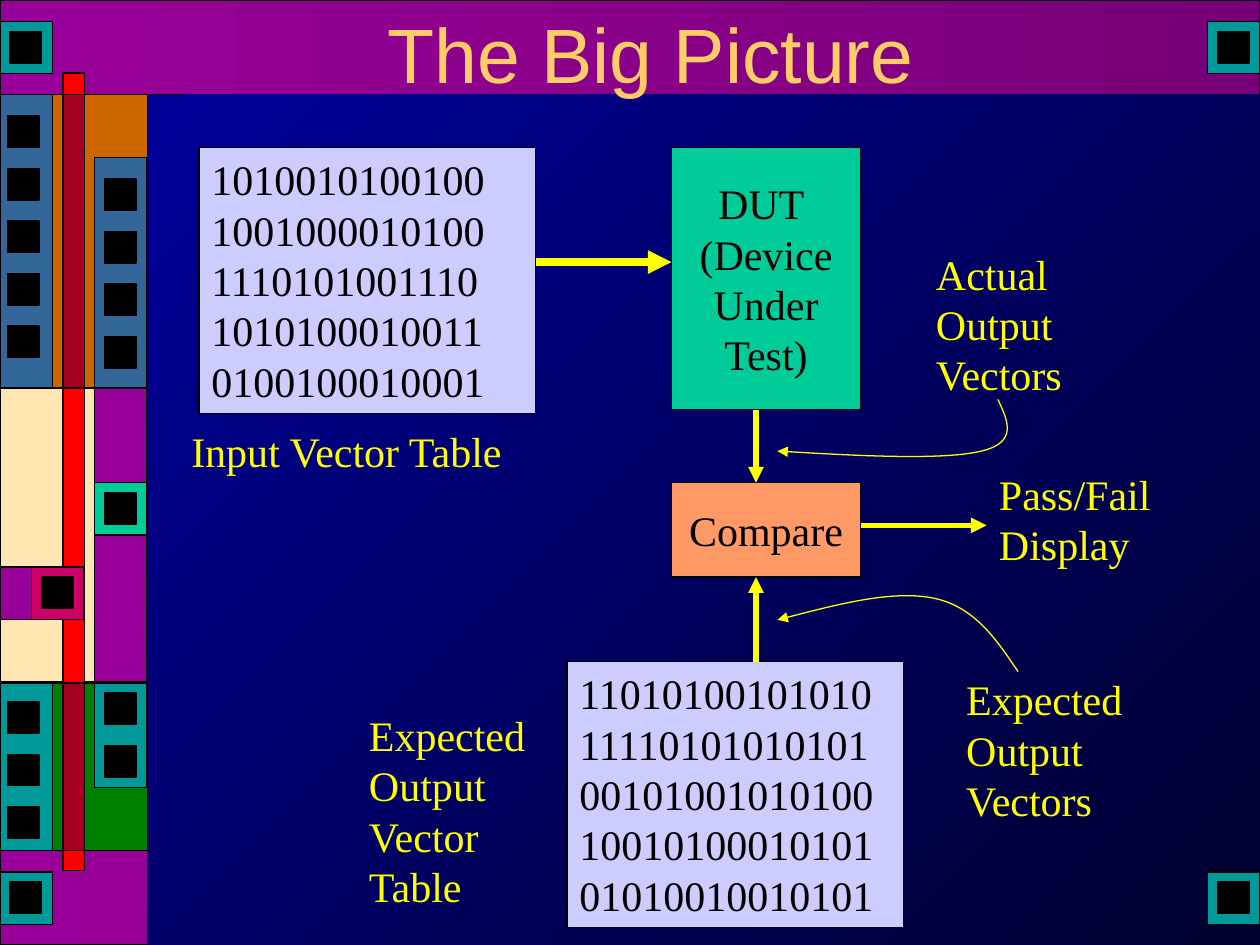
from lxml import etree
from pptx import Presentation
from pptx.dml.color import RGBColor
from pptx.enum.shapes import MSO_CONNECTOR, MSO_SHAPE
from pptx.enum.text import MSO_ANCHOR, MSO_AUTO_SIZE, PP_ALIGN
from pptx.oxml.ns import qn
from pptx.util import Inches, Pt

BLACK = RGBColor(0x00, 0x00, 0x00)
PURPLE = RGBColor(0x99, 0x00, 0x99)
DARK_PURPLE = RGBColor(0x78, 0x00, 0x78)
BLUE = RGBColor(0x00, 0x00, 0x99)
NIGHT = RGBColor(0x00, 0x00, 0x2E)
GOLD = RGBColor(0xFF, 0xCC, 0x66)
BROWN = RGBColor(0xCC, 0x66, 0x00)
GREEN = RGBColor(0x00, 0x80, 0x00)
TEAL = RGBColor(0x00, 0x99, 0x99)
STEEL = RGBColor(0x33, 0x66, 0x99)
RED = RGBColor(0xFF, 0x00, 0x00)
DARK_RED = RGBColor(0xA5, 0x00, 0x21)
MINT = RGBColor(0x00, 0xCC, 0x99)
PINK = RGBColor(0xCC, 0x00, 0x66)
LAVENDER = RGBColor(0xCC, 0xCC, 0xFF)
ORANGE = RGBColor(0xFF, 0x99, 0x66)
YELLOW = RGBColor(0xFF, 0xFF, 0x00)

STUD = 0.25
STUD_PITCH = 5 / 12
PANEL_WIDTH = 5 / 12

BODY_FONT = {"name": "Times New Roman", "size": Pt(24)}
TITLE_FONT = {"name": "Arial", "size": Pt(44)}
TABLE_FRAME = {"word_wrap": True, "auto_size": MSO_AUTO_SIZE.SHAPE_TO_FIT_TEXT,
               "vertical_anchor": MSO_ANCHOR.TOP}
BLOCK_FRAME = {"word_wrap": False, "vertical_anchor": MSO_ANCHOR.MIDDLE}
LABEL_FRAME = {"word_wrap": False, "auto_size": MSO_AUTO_SIZE.SHAPE_TO_FIT_TEXT}
TITLE_FRAME = {"word_wrap": True, "vertical_anchor": MSO_ANCHOR.MIDDLE}

INPUT_VECTORS = ["1010010100100", "1001000010100", "1110101001110",
                 "1010100010011", "0100100010001"]
EXPECTED_VECTORS = ["11010100101010", "11110101010101", "00101001010100",
                    "10010100010101", "01010010010101"]


def apply_format(target, values):
    for name, value in values.items():
        setattr(target, name, value)


def add_rectangle(slide, box, colour, end_colour=None, angle=0, outlined=True):
    shape = slide.shapes.add_shape(MSO_SHAPE.RECTANGLE, *map(Inches, box))
    shape.shadow.inherit = False
    if end_colour is None:
        shape.fill.solid()
        shape.fill.fore_color.rgb = colour
    else:
        shape.fill.gradient()
        shape.fill.gradient_angle = (360 - angle) % 360
        for stop, stop_colour in zip(shape.fill.gradient_stops, (colour, end_colour)):
            stop.color.rgb = stop_colour
    if outlined:
        apply_format(shape.line, {"width": Pt(0.75)})
        shape.line.color.rgb = BLACK
    else:
        shape.line.fill.background()
    return shape


def set_transparent(shape, percent):
    colour = next(shape._element.iter(qn("a:srgbClr")))
    etree.SubElement(colour, qn("a:alpha"), val=str((100 - percent) * 1000))


def write_text(shape, paragraphs, frame, font, colour, alignment=PP_ALIGN.LEFT):
    text_frame = shape.text_frame
    apply_format(text_frame, frame)
    for index, text in enumerate(paragraphs):
        paragraph = text_frame.add_paragraph() if index else text_frame.paragraphs[0]
        paragraph.text = text
        paragraph.alignment = alignment
        for run in paragraph.runs:
            apply_format(run.font, font)
            run.font.color.rgb = colour


def add_label(slide, box, paragraphs, frame=LABEL_FRAME, font=BODY_FONT,
              colour=YELLOW, alignment=PP_ALIGN.LEFT):
    text_box = slide.shapes.add_textbox(*map(Inches, box))
    write_text(text_box, paragraphs, frame, font, colour, alignment)


def add_block(slide, box, colour, text, frame=BLOCK_FRAME, alignment=PP_ALIGN.CENTER):
    shape = add_rectangle(slide, box, colour)
    write_text(shape, [text], frame, BODY_FONT, BLACK, alignment)


def add_stud_panel(slide, left, top, colour, height=PANEL_WIDTH, studs=1,
                   inset_x=0.08, inset_y=0.08):
    add_rectangle(slide, (left, top, PANEL_WIDTH, height), colour)
    for index in range(studs):
        stud_top = top + inset_y + index * STUD_PITCH
        add_rectangle(slide, (left + inset_x, stud_top, STUD, STUD), BLACK)


def set_yellow_arrow(shape, width):
    shape.line.color.rgb = YELLOW
    shape.line.width = Pt(width)
    outline = shape.line._get_or_add_ln()
    etree.SubElement(outline, qn("a:tailEnd"), type="triangle")


def add_arrow(slide, start, end, width=3):
    connector = slide.shapes.add_connector(
        MSO_CONNECTOR.STRAIGHT, *map(Inches, (*start, *end)))
    set_yellow_arrow(connector, width)
    etree.SubElement(connector._element.spPr, qn("a:effectLst"))


def add_curved_arrow(slide, points):
    start, *controls = [tuple(map(Inches, point)) for point in points]
    builder = slide.shapes.build_freeform(*start)
    builder.add_line_segments(controls, close=False)
    shape = builder.convert_to_shape()
    shape.fill.background()
    set_yellow_arrow(shape, 0.75)
    shape.shadow.inherit = False
    segments = list(shape._element.iter(qn("a:lnTo")))
    for index in range(0, len(segments), 3):
        curve = etree.Element(qn("a:cubicBezTo"))
        segments[index].addprevious(curve)
        for segment in segments[index:index + 3]:
            curve.append(segment[0])
            segment.getparent().remove(segment)


def build_background(slide, width, height):
    for top in (height - 0.75, 0):
        add_rectangle(slide, (0, top, width, 0.75), PURPLE, DARK_PURPLE)
    add_rectangle(slide, (1.17, 0.75, width - 1.17, height - 0.75), BLUE, NIGHT,
                  angle=45, outlined=False)


def build_side_bar(slide, left, top):
    cream = add_rectangle(slide, (left, top + 2.33, 0.92, 2.33), GOLD)
    set_transparent(cream, 50)
    sections = ((top, 2.33, BROWN), (top + 4.67, 1.33, GREEN))
    for section_top, height, colour in sections:
        add_rectangle(slide, (left, section_top, 1.17, height), colour)
    add_stud_panel(slide, left, top + 4.67, TEAL, 1.33, 3, 0.06, 0.15)
    add_stud_panel(slide, left, top, STEEL, 2.33, 5, 0.06, 0.17)
    add_rectangle(slide, (left + 0.5, top - 0.17, 0.17, 6.33), RED)
    for section_top, height, _ in sections:
        add_rectangle(slide, (left + 0.5, section_top, 0.17, height), DARK_RED)
    right = left + 0.75
    add_stud_panel(slide, right, top + 0.5, STEEL, 1.83, 4, inset_y=0.17)
    add_stud_panel(slide, right, top + 4.67, TEAL, 0.83, 2)
    add_rectangle(slide, (right, top + 2.33, PANEL_WIDTH, 2.33), PURPLE)
    add_stud_panel(slide, right, top + 3.08, MINT)
    add_rectangle(slide, (left, top + 3.75, 0.33, PANEL_WIDTH), PURPLE)
    add_stud_panel(slide, left + 0.25, top + 3.75, PINK)


def build_corners(slide, width, height):
    for left in (0, width - PANEL_WIDTH):
        for top in (0.17, height - 0.58):
            add_stud_panel(slide, left, top, TEAL)


def build_diagram(slide, left, top):
    def place(x, y, *size):
        return (left + x, top + y, *size)

    add_block(slide, place(0.16, 0, 2.67, 2.11), LAVENDER,
              "\v".join(INPUT_VECTORS), TABLE_FRAME, PP_ALIGN.LEFT)
    add_block(slide, place(3.91, 0, 1.5, 2.08), MINT, "DUT \v(Device\vUnder\vTest)")
    add_block(slide, place(3.91, 2.66, 1.5, 0.75), ORANGE, "Compare")
    add_block(slide, place(3.08, 4.08, 2.67, 2.11), LAVENDER,
              "\v".join(EXPECTED_VECTORS), TABLE_FRAME, PP_ALIGN.LEFT)

    add_label(slide, place(0, 2.16, 2.73, 0.5), ["Input Vector Table"])
    add_label(slide, place(1.41, 4.41, 1.52, 1.7), ["Expected \vOutput\vVector\vTable"])
    add_label(slide, place(5.91, 0.75, 1.24, 1.3), ["Actual", "Output", "Vectors"])
    add_label(slide, place(6.41, 2.5, 1.49, 0.9), ["Pass/Fail \vDisplay"])
    add_label(slide, place(6.15, 4.13, 1.44, 1.3), ["Expected\vOutput", "Vectors"])

    add_arrow(slide, place(2.83, 0.91), place(3.91, 0.91), 4.5)
    add_arrow(slide, place(4.58, 2.08), place(4.58, 2.66))
    add_arrow(slide, place(4.58, 4.08), place(4.58, 3.41))
    add_arrow(slide, place(5.41, 3), place(6.41, 3))
    add_curved_arrow(slide, [
        place(6.5, 2), place(6.58, 2.17), place(6.66, 2.34), place(6.37, 2.41),
        place(6.08, 2.48), place(5.41, 2.45), place(4.75, 2.41)])
    add_curved_arrow(slide, [
        place(6.66, 4.16), place(6.49, 3.91), place(6.32, 3.65), place(6, 3.58),
        place(5.68, 3.51), place(5.21, 3.63), place(4.75, 3.75)])


def main():
    presentation = Presentation()
    apply_format(presentation, {"slide_width": Inches(10), "slide_height": Inches(7.5)})
    slide = presentation.slides.add_slide(presentation.slide_layouts[6])
    build_background(slide, 10, 7.5)
    build_side_bar(slide, 0, 0.75)
    build_corners(slide, 10, 7.5)
    add_label(slide, (1, 0, 8.33, 0.83), ["The Big Picture"], TITLE_FRAME,
              TITLE_FONT, GOLD, PP_ALIGN.CENTER)
    build_diagram(slide, 1.42, 1.17)
    presentation.save("out.pptx")


if __name__ == "__main__":
    main()
